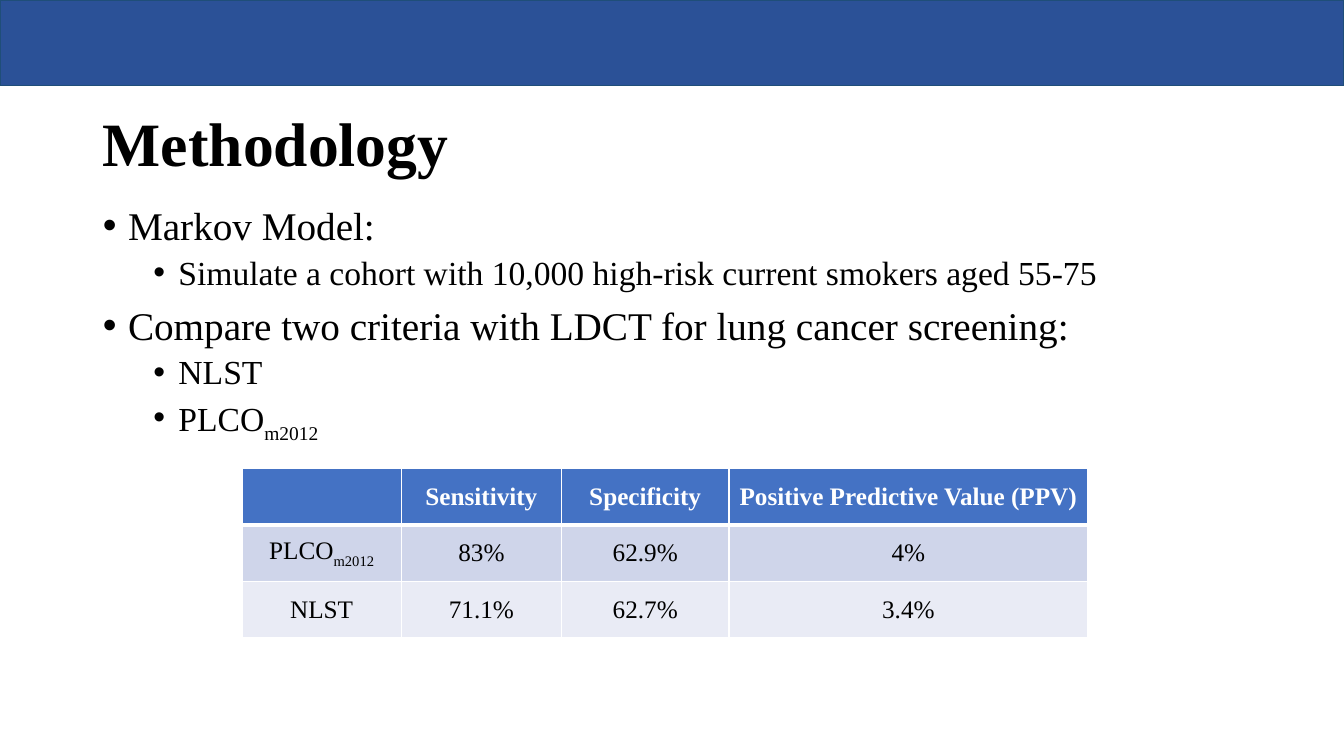
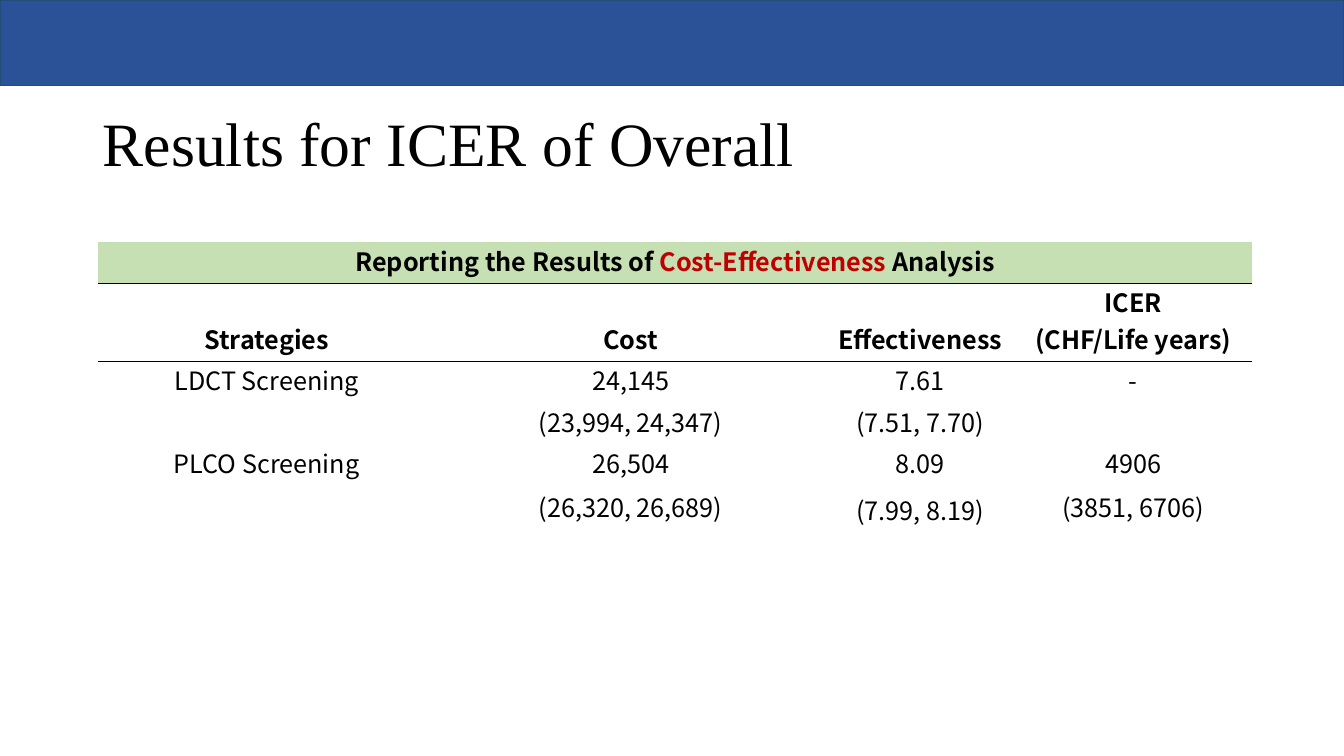
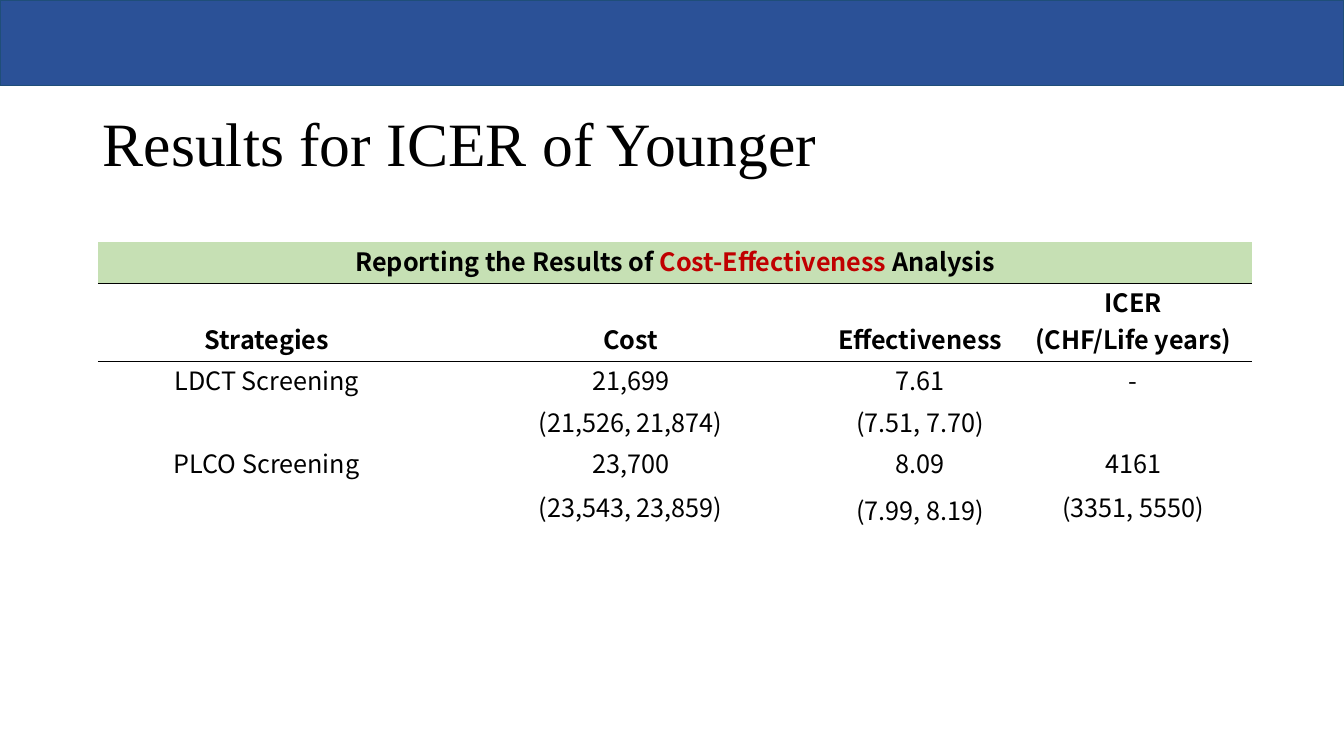
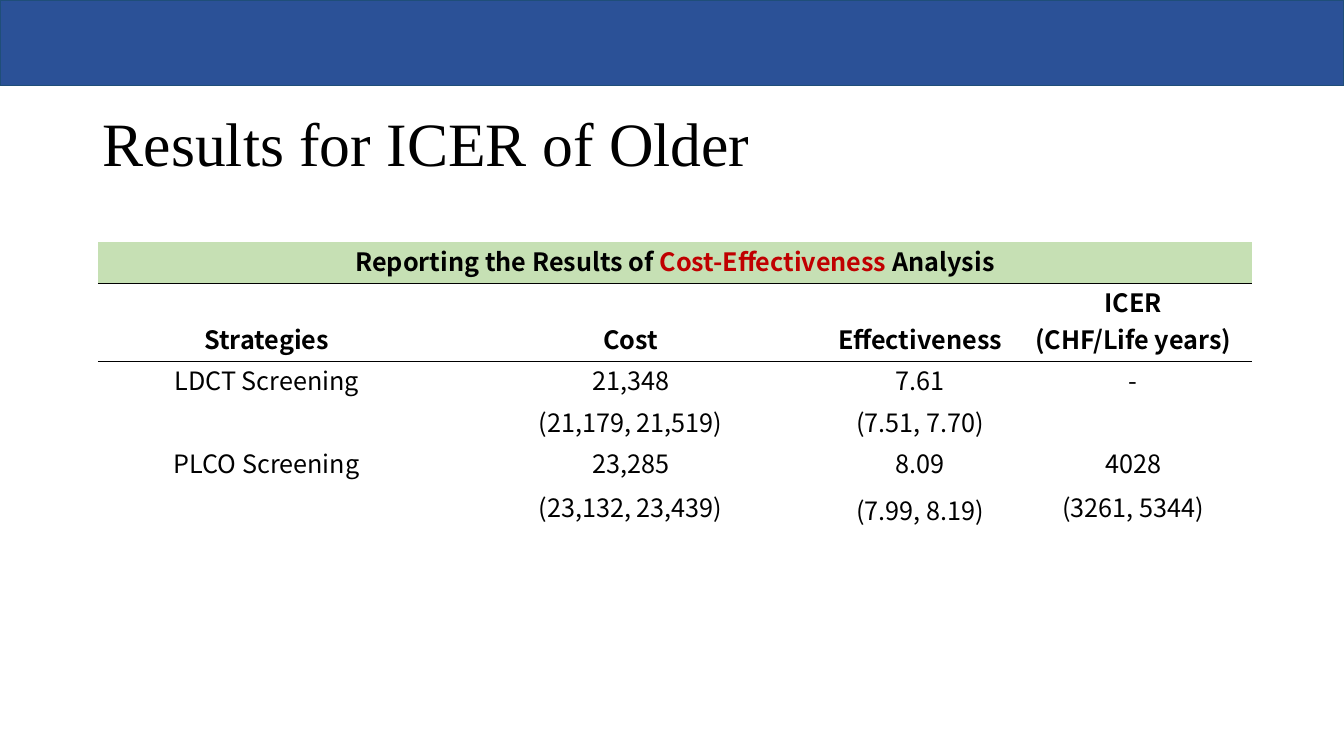
from lxml import etree
from pptx import Presentation
from pptx.dml.color import RGBColor
from pptx.enum.shapes import MSO_SHAPE
from pptx.enum.text import MSO_ANCHOR, MSO_AUTO_SIZE, PP_ALIGN
from pptx.oxml.ns import qn
from pptx.util import Inches, Pt

RECT = MSO_SHAPE.RECTANGLE
LEFT, CENTER = PP_ALIGN.LEFT, PP_ALIGN.CENTER
TOP, MIDDLE, BOTTOM = MSO_ANCHOR.TOP, MSO_ANCHOR.MIDDLE, MSO_ANCHOR.BOTTOM
NO_FIT = MSO_AUTO_SIZE.NONE

COLORS = {
    "band": "2B5197", "band_line": "1F4E79", "white": "FFFFFF", "black": "000000",
    "header": "4472C4", "row_dark": "CFD5EA", "row_light": "E9EBF5",
    "green": "C6E0B4", "red": "C00000",
}
SERIF, SANS = "Times New Roman", "Noto Sans CJK SC"
SLIDE_W, SLIDE_H = 13.33, 7.5
TITLE_AND_CONTENT, TITLE_ONLY = 1, 5
PLAIN_TABLE_STYLE = "{2D5ABB26-0587-4C30-8999-92F81FD0307C}"

TITLE = {"name": SERIF, "size": Pt(44), "bold": False, "color": "black"}
BODY = {"name": SERIF, "color": "black"}
CRITERIA_CELL = {"name": SERIF, "size": Pt(18), "bold": False, "color": "black"}
ICER_CELL = {"name": SANS, "size": Pt(18), "bold": False, "color": "black"}

# size, left margin and space before for each list level
LEVELS = [(28, 0.25, 10), (24, 0.75, 5)]

PLCO = [("PLCO", {}), ("m2012", {"subscript": True})]
BULLETS = [
    (0, "Markov Model:"),
    (1, "Simulate a cohort with 10,000 high-risk current smokers aged 55-75"),
    (0, "Compare two criteria with LDCT for lung cancer screening:"),
    (1, "NLST"),
    (1, PLCO),
]
CRITERIA = [
    ["", "Sensitivity", "Specificity", "Positive Predictive Value (PPV)"],
    [PLCO, "83%", "62.9%", "4%"],
    ["NLST", "71.1%", "62.7%", "3.4%"],
]
ICER_TITLE = [("Reporting the Results of ", {}),
              ("Cost-Effectiveness ", {"color": "red"}), ("Analysis", {})]
ICER_HEADER = ["Strategies", "Cost", "Effectiveness", "ICER\n(CHF/Life years)"]
# group, costs with their intervals, ICER with its interval
ICER_RESULTS = [
    ("Overall", ["24,145", "(23,994, 24,347)", "26,504", "(26,320, 26,689)"],
     ["4906", "(3851, 6706)"]),
    ("Younger", ["21,699", "(21,526, 21,874)", "23,700", "(23,543, 23,859)"],
     ["4161", "(3351, 5550)"]),
    ("Older", ["21,348", "(21,179, 21,519)", "23,285", "(23,132, 23,439)"],
     ["4028", "(3261, 5344)"]),
]
EFFECTIVENESS = ["7.61", "(7.51, 7.70)", "8.09", "(7.99, 8.19)"]


def rgb(name):
    return RGBColor.from_string(COLORS[name])


def place(shape, *box):
    for name, value in zip(("left", "top", "width", "height"), box):
        setattr(shape, name, Inches(value))


# Text
def add_run(p, text, fmt):
    r = p.add_run()
    r.text = text
    for name, value in fmt.items():
        if name == "color":
            r.font.color.rgb = rgb(value)
        elif name == "subscript":
            r._r.get_or_add_rPr().set("baseline", "-25000")
        else:
            setattr(r.font, name, value)


def write(p, content, fmt):
    """Write a string, or a list of (text, changes to the format)."""
    parts = [(content, {})] if isinstance(content, str) else content
    for text, changes in parts:
        for i, line in enumerate(text.split("\n")):
            if i:
                p.add_line_break()
            if line:
                add_run(p, line, {**fmt, **changes})


def add_bullet(p, margin):
    pPr = p._p.get_or_add_pPr()
    pPr.set("marL", str(Inches(margin)))
    pPr.set("indent", str(Inches(-0.25)))
    etree.SubElement(pPr, qn("a:buFont")).set("typeface", "Arial")
    etree.SubElement(pPr, qn("a:buChar")).set("char", "•")


# Shared parts
def add_band_to_master(prs, s):
    """Draw the band on a slide, then move it to the master."""
    band = s.shapes.add_shape(RECT, 0, 0, Inches(SLIDE_W), Inches(0.85))
    band.shadow.inherit = False
    band.fill.solid()
    band.fill.fore_color.rgb = rgb("band")
    band.line.color.rgb = rgb("band_line")
    band.line.width = Pt(1)
    band.element.nvSpPr.cNvPr.set("id", "101")
    prs.slide_master.element.cSld.spTree.append(band.element)


def add_slide(prs, layout, title, bold=False):
    s = prs.slides.add_slide(prs.slide_layouts[layout])
    place(s.shapes.title, 0.92, 1.05, 11.5, 0.8)
    tf = s.shapes.title.text_frame
    tf.auto_size, tf.vertical_anchor = NO_FIT, MIDDLE
    p = tf.paragraphs[0]
    p.alignment, p.line_spacing = LEFT, 0.9
    write(p, title, {**TITLE, "bold": bold})
    return s


def fill_list(body, items):
    place(body, 0.92, 2, 11.91, 4.76)
    tf = body.text_frame
    tf.auto_size, tf.vertical_anchor = NO_FIT, TOP
    for i, (level, content) in enumerate(items):
        p = tf.add_paragraph() if i else tf.paragraphs[0]
        size, margin, before = LEVELS[level]
        p.level, p.line_spacing = level, 0.9
        p.space_before = Pt(before if i else 0)
        add_bullet(p, margin)
        write(p, content, {**BODY, "size": Pt(size)})


# Tables
def add_table(s, left, top, cols, rows):
    frame = s.shapes.add_table(len(rows), len(cols), Inches(left), Inches(top),
                               Inches(sum(cols)), Inches(sum(rows)))
    for style in frame.element.iter(qn("a:tableStyleId")):
        style.text = PLAIN_TABLE_STYLE
    table = frame.table
    table.first_row = table.horz_banding = False
    for column, width in zip(table.columns, cols):
        column.width = Inches(width)
    for row, height in zip(table.rows, rows):
        row.height = Inches(height)
    return table


def set_borders(cell, color, widths):
    """Set borders from a dict of side to points; other sides get no line."""
    tcPr = cell._tc.get_or_add_tcPr()
    for i, side in enumerate("LRTB"):
        ln = etree.Element(qn(f"a:ln{side}"))
        if side in widths:
            ln.set("w", str(Pt(widths[side])))
            fill = etree.SubElement(ln, qn("a:solidFill"))
            etree.SubElement(fill, qn("a:srgbClr")).set("val", COLORS[color])
        else:
            etree.SubElement(ln, qn("a:noFill"))
        tcPr.insert(i, ln)


def fill_cell(cell, content, fmt, fill, anchor=MIDDLE):
    cell.fill.solid()
    cell.fill.fore_color.rgb = rgb(fill)
    cell.vertical_anchor = anchor
    p = cell.text_frame.paragraphs[0]
    p.alignment = CENTER
    write(p, content, fmt)


def add_criteria_table(s):
    table = add_table(s, 2.4, 4.65, [1.58, 1.59, 1.66, 3.56], [0.56] * 3)
    fills = ["header", "row_dark", "row_light"]
    for r, row in enumerate(CRITERIA):
        fmt = CRITERIA_CELL if r else {**CRITERIA_CELL, "bold": True, "color": "white"}
        for c, content in enumerate(row):
            cell = table.cell(r, c)
            fill_cell(cell, content, fmt, fills[r])
            set_borders(cell, "white", {"L": 1, "R": 1, "T": 3 if r == 1 else 1,
                                        "B": 1 if r else 3})


def add_icer_table(s, costs, icer):
    table = add_table(s, 0.97, 2.4, [3.35, 3.87, 1.87, 2.36],
                      [0.34, 0.61, 0.34, 0.34, 0.34, 0.46])
    strategies = ["LDCT Screening", "", "PLCO Screening", ""]
    rows = [[ICER_TITLE, "", "", ""], ICER_HEADER,
            *zip(strategies, costs, EFFECTIVENESS, ["-", "", *icer])]
    rules = [{"B": 0.5}, {"T": 0.5, "B": 0.5}, {"T": 0.5}, {}, {}, {}]
    table.cell(0, 0).merge(table.cell(0, 3))
    for r, row in enumerate(rows):
        fmt = {**ICER_CELL, "bold": r < 2}
        for c, content in enumerate(row):
            cell = table.cell(r, c)
            cell.margin_left = cell.margin_right = cell.margin_top = 0
            cell.margin_bottom = Inches(0.05)
            # headings, strategies and effectiveness intervals sit at the bottom
            low = r < 2 or c == 0 or (c == 2 and r % 2)
            fill_cell(cell, content, fmt, "white" if r else "green",
                      BOTTOM if low else MIDDLE)
            set_borders(cell, "black", rules[r])


def main():
    prs = Presentation()
    prs.slide_width, prs.slide_height = Inches(SLIDE_W), Inches(SLIDE_H)

    # Methodology
    s = add_slide(prs, TITLE_AND_CONTENT, "Methodology", bold=True)
    add_band_to_master(prs, s)
    fill_list(s.placeholders[1], BULLETS)
    add_criteria_table(s)

    # Results by age group
    for group, costs, icer in ICER_RESULTS:
        s = add_slide(prs, TITLE_ONLY, f"Results for ICER of {group}")
        add_icer_table(s, costs, icer)

    prs.save("out.pptx")


if __name__ == "__main__":
    main()
